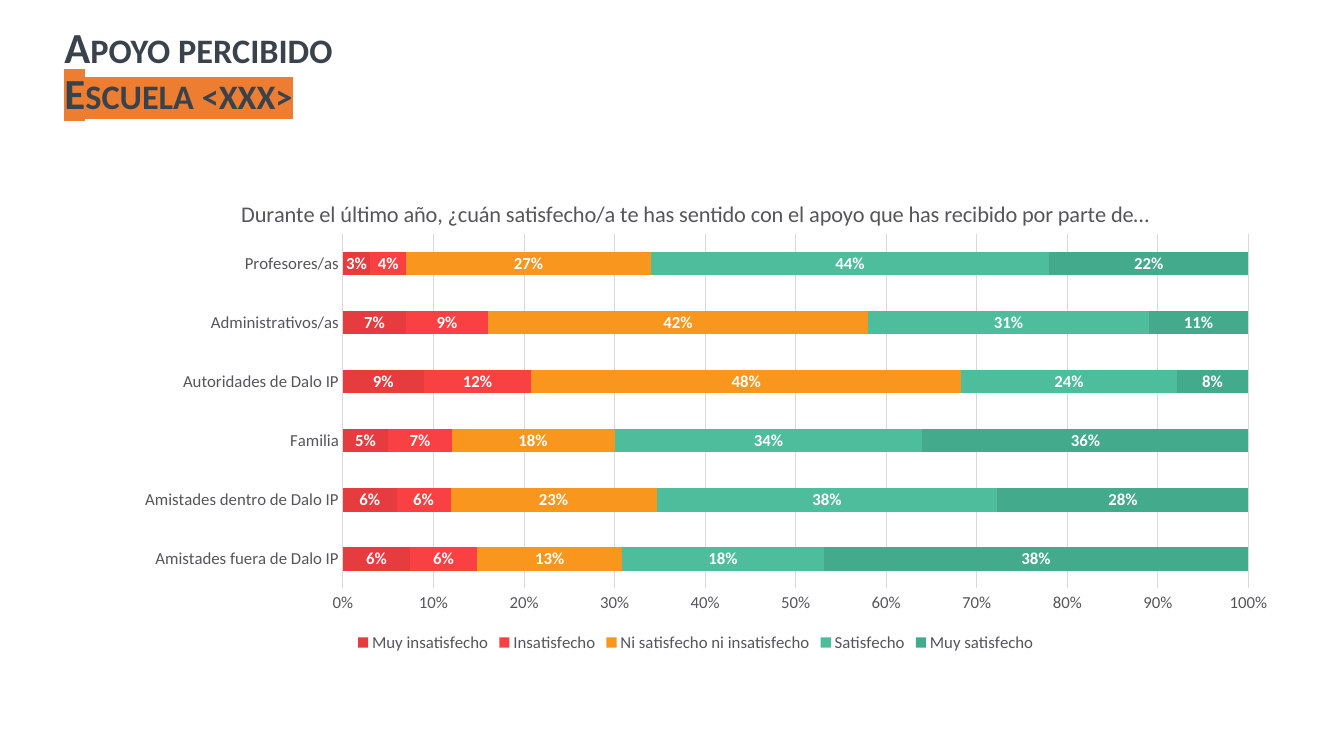
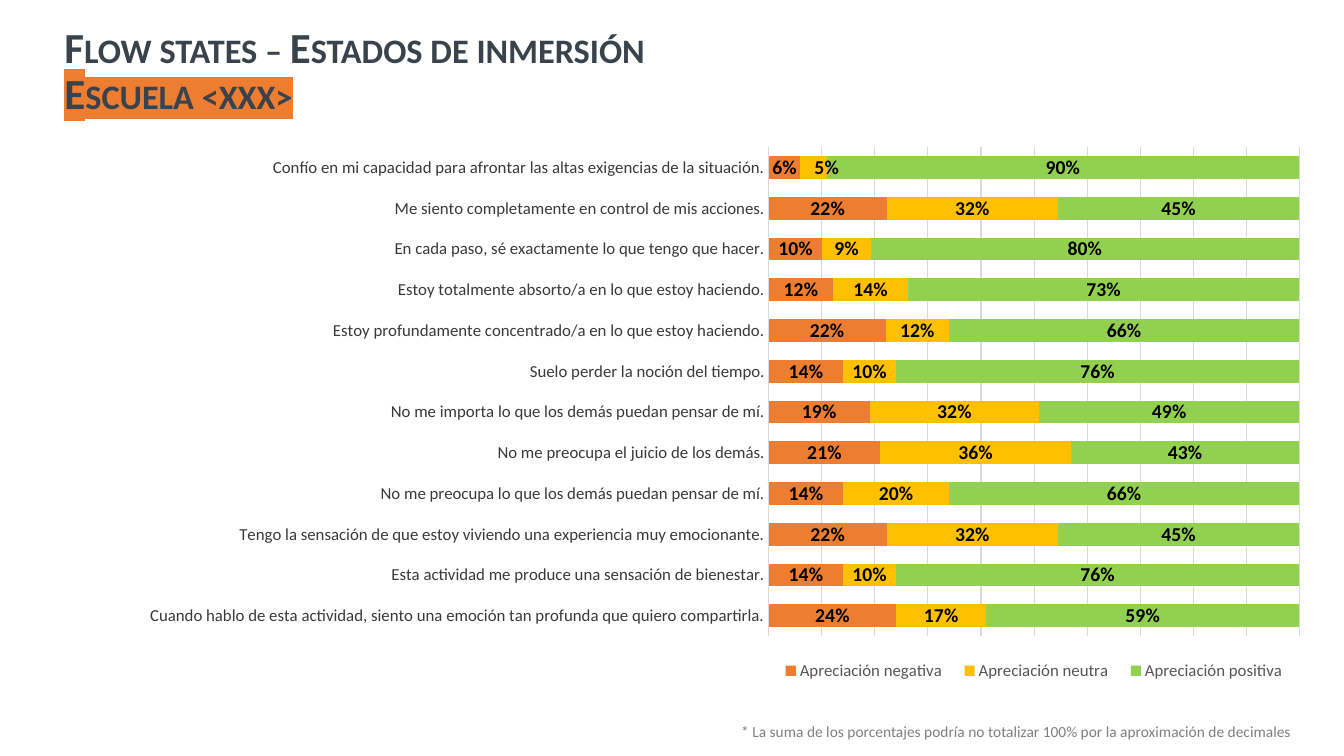
from lxml.etree import SubElement
from pptx import Presentation
from pptx.chart.data import CategoryChartData
from pptx.dml.color import RGBColor
from pptx.enum.chart import XL_CHART_TYPE, XL_LABEL_POSITION, XL_LEGEND_POSITION, XL_TICK_MARK
from pptx.enum.text import MSO_ANCHOR, PP_ALIGN
from pptx.oxml import parse_xml
from pptx.oxml.ns import nsdecls, qn
from pptx.util import Pt

COLORS = {
    "title": "3A434C", "highlight": "ED7D31", "text": "56565A", "question": "3B3838",
    "grid": "D9D9D9", "note": "7F7F7F", "white": "FFFFFF", "black": "000000",
    "dark red": "E63C3F", "red": "F94144", "amber": "F8961E",
    "mint": "4DBD9B", "teal": "43AA8B",
    "orange": "ED7D31", "yellow": "FFC000", "green": "92D050",
}
FONT = "Calibri"

SUPPORT_GROUPS = [
    "Amistades fuera de Dalo IP", "Amistades dentro de Dalo IP", "Familia",
    "Autoridades de Dalo IP", "Administrativos/as", "Profesores/as",
]
SUPPORT_SERIES = [
    ("Muy insatisfecho", "dark red", [0.06, 0.06, 0.05, 0.09, 0.07, 0.03]),
    ("Insatisfecho", "red", [0.06, 0.06, 0.07, 0.12, 0.09, 0.04]),
    ("Ni satisfecho ni insatisfecho", "amber", [0.13, 0.23, 0.18, 0.48, 0.42, 0.27]),
    ("Satisfecho", "mint", [0.18, 0.38, 0.34, 0.24, 0.31, 0.44]),
    ("Muy satisfecho", "teal", [0.38, 0.28, 0.36, 0.08, 0.11, 0.22]),
]
FLOW_STATEMENTS = [
    "Confío en mi capacidad para afrontar las altas exigencias de la situación.",
    "Me siento completamente en control de mis acciones.",
    "En cada paso, sé exactamente lo que tengo que hacer.",
    "Estoy totalmente absorto/a en lo que estoy haciendo.",
    "Estoy profundamente concentrado/a en lo que estoy haciendo.",
    "Suelo perder la noción del tiempo.",
    "No me importa lo que los demás puedan pensar de mí.",
    "No me preocupa el juicio de los demás.",
    "No me preocupa lo que los demás puedan pensar de mí.",
    "Tengo la sensación de que estoy viviendo una experiencia muy emocionante.",
    "Esta actividad me produce una sensación de bienestar.",
    "Cuando hablo de esta actividad, siento una emoción tan profunda que quiero compartirla.",
]
FLOW_SERIES = [
    ("Apreciación negativa", "orange",
     [0.06, 0.22, 0.1, 0.12, 0.22, 0.14, 0.19, 0.21, 0.14, 0.22, 0.14, 0.24]),
    ("Apreciación neutra", "yellow",
     [0.05, 0.32, 0.09, 0.14, 0.12, 0.1, 0.32, 0.36, 0.2, 0.32, 0.1, 0.17]),
    ("Apreciación positiva", "green",
     [0.9, 0.45, 0.8, 0.73, 0.66, 0.76, 0.49, 0.43, 0.66, 0.45, 0.76, 0.59]),
]


def color(name):
    return RGBColor.from_string(COLORS[name])


def set_layout(parent, index, inner=False, **fractions):
    old = parent.find(qn("c:layout"))
    if old is not None:
        parent.remove(old)
    layout = parse_xml(f"<c:layout {nsdecls('c')}><c:manualLayout/></c:layout>")
    entries = {"layoutTarget": "inner"} if inner else {}
    if parent.tag != qn("c:dLbl"):
        entries.update(xMode="edge", yMode="edge")
    entries.update(fractions)
    for tag, value in entries.items():
        SubElement(layout[0], qn("c:" + tag)).set("val", str(value))
    parent.insert(index, layout)


class SurveyDeck:
    def __init__(self):
        self.deck = Presentation()
        self.deck.slide_width, self.deck.slide_height = Pt(960), Pt(540)
        self.page = None

    def add_page(self, topic):
        self.page = self.deck.slides.add_slide(self.deck.slide_layouts[6])
        para = self.text(f"{topic} \vEscuela <xxx>", (39, 18, 917, 68), 30.6, "title", bold=True)
        for span in para.runs:
            span.font._element.set("cap", "small")
        mark = parse_xml(f'<a:highlight {nsdecls("a")}><a:srgbClr val="{COLORS["highlight"]}"/></a:highlight>')
        para.runs[-1].font._element.find(qn("a:latin")).addprevious(mark)

    def style(self, font, size, name, bold=False):
        font.name, font.size, font.bold = FONT, Pt(size), bold
        font.color.rgb = color(name)

    def text(self, words, place, size, name, bold=False, align=PP_ALIGN.LEFT):
        box = self.page.shapes.add_textbox(*map(Pt, place))
        frame = box.text_frame
        frame.word_wrap = True
        frame.vertical_anchor = MSO_ANCHOR.MIDDLE
        frame.text = words
        para = frame.paragraphs[0]
        para.alignment, para.line_spacing = align, 0.9
        for span in para.runs:
            self.style(span.font, size, name, bold)
        return para

    def stacked_bars(self, place, categories, series, gap, label_size, label_color, category_color):
        data = CategoryChartData(number_format="0%")
        data.categories = categories
        for name, _, values in series:
            data.add_series(name, values)
        chart = self.page.shapes.add_chart(
            XL_CHART_TYPE.BAR_STACKED_100, *map(Pt, place), data).chart
        self.style(chart.font, 12, "text")
        chart.has_title = False
        plot = chart.plots[0]
        plot.gap_width, plot.overlap, plot.vary_by_categories = gap, 100, False
        for bars, (_, fill, _) in zip(plot.series, series):
            bars.format.fill.solid()
            bars.format.fill.fore_color.rgb = color(fill)
            bars.invert_if_negative = False
            labels = bars.data_labels
            labels.show_value, labels.position = True, XL_LABEL_POSITION.CENTER
            labels.number_format, labels.number_format_is_linked = "0%", False
            self.style(labels.font, label_size, label_color, True)
        self.axes(chart, category_color)
        chart.has_legend = True
        chart.legend.position = XL_LEGEND_POSITION.BOTTOM
        chart.legend.include_in_layout = False
        self.style(chart.legend.font, 12, "text")
        return chart

    def axes(self, chart, category_color):
        names, scale = chart.category_axis, chart.value_axis
        for axis, name in ((names, category_color), (scale, "text")):
            axis.major_tick_mark = axis.minor_tick_mark = XL_TICK_MARK.NONE
            self.style(axis.tick_labels.font, 12, name)
        scale.minimum_scale, scale.maximum_scale, scale.major_unit = 0, 1, 0.1
        scale.tick_labels.number_format = "0%"
        scale.tick_labels.number_format_is_linked = False
        scale.has_major_gridlines = True
        scale.format.line.fill.background()
        for line in (names.format.line, scale.major_gridlines.format.line):
            line.color.rgb, line.width = color("grid"), Pt(0.75)

    def chart_title(self, chart, words, **corner):
        chart.has_title = True
        frame = chart.chart_title.text_frame
        frame.text = words
        self.style(frame.paragraphs[0].runs[0].font, 16, "text")
        chart.chart_title.include_in_layout = False
        set_layout(chart.chart_title._element, 1, **corner)

    def plot_area(self, chart, **frame):
        set_layout(chart._chartSpace.chart.plotArea, 0, inner=True, **frame)

    def legend_area(self, chart, **frame):
        chart.legend.position = XL_LEGEND_POSITION.RIGHT
        set_layout(chart.legend._element, 1, **frame)

    def shift_label(self, bars, index, size, name, **offset):
        label = bars.points[index].data_label
        label.position = XL_LABEL_POSITION.CENTER
        self.style(label.font, size, name, True)
        set_layout(label._dLbl, 1, **offset)


def main():
    survey = SurveyDeck()

    survey.add_page("Apoyo percibido")
    support = survey.stacked_bars((77, 122, 840, 347), SUPPORT_GROUPS, SUPPORT_SERIES,
                                  150, 12, "white", "text")
    survey.chart_title(
        support,
        "Durante el último año, ¿cuán satisfecho/a te has sentido con el apoyo que has recibido por parte de…",
        x=0.11, y=0.05)
    survey.plot_area(support, x=0.2, y=0.13, w=0.77, h=0.73)

    survey.add_page("Flow states – Estados de inmersión")
    flow = survey.stacked_bars((0, 101, 947, 411), FLOW_STATEMENTS, FLOW_SERIES,
                               80, 14, "black", "question")
    flow.category_axis.reverse_order = True
    flow.value_axis.visible = False
    survey.plot_area(flow, x=0.58, y=0.01, w=0.4, h=0.85)
    survey.legend_area(flow, x=0.58, y=0.89, w=0.4, h=0.06)
    survey.shift_label(flow.plots[0].series[1], 0, 14, "black", x=0.01, y=0)
    survey.text("* La suma de los porcentajes podría no totalizar 100% por la aproximación de decimales",
                (472, 512, 508, 22), 11, "note", align=PP_ALIGN.CENTER)

    survey.deck.save("out.pptx")


if __name__ == "__main__":
    main()
